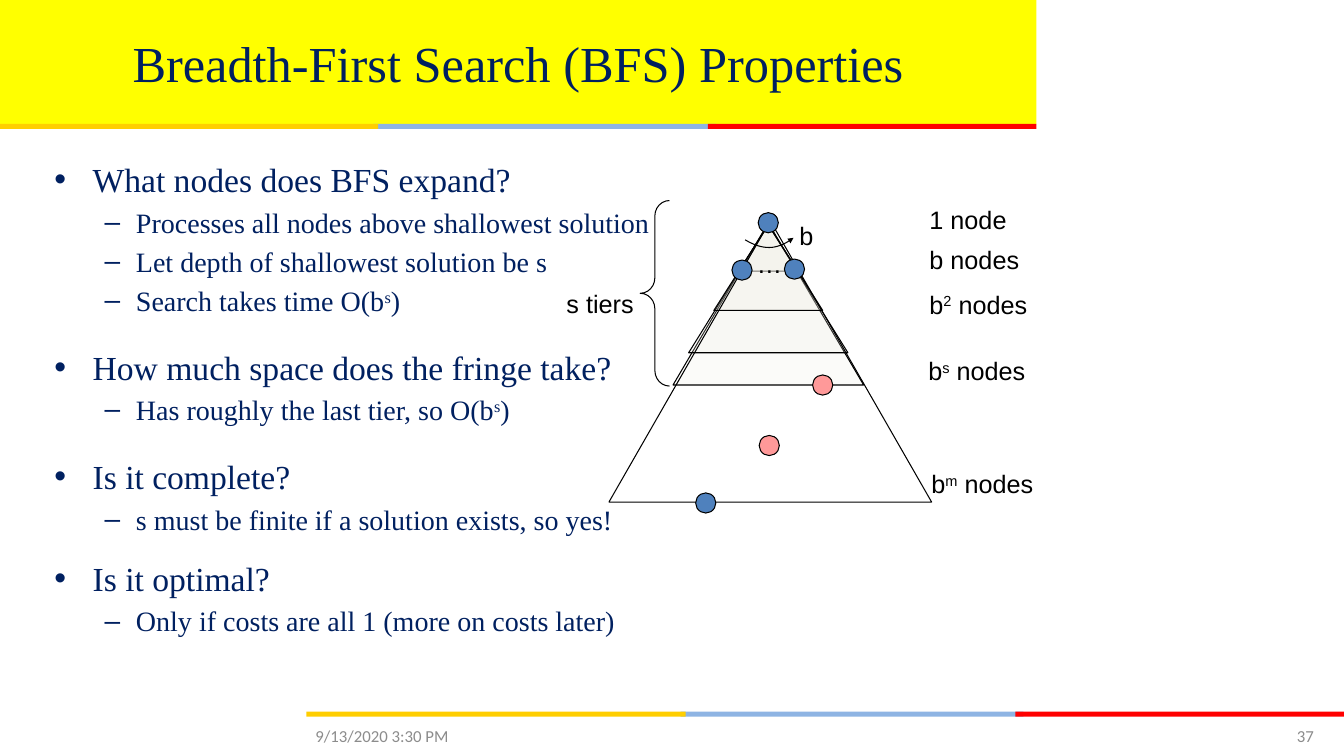
import pptx
import pptx.util
import pptx.dml.color
import pptx.enum.shapes
import pptx.enum.text
import pptx.oxml
import pptx.oxml.ns

Inches, Pt = pptx.util.Inches, pptx.util.Pt
RGBColor = pptx.dml.color.RGBColor
SHAPES = pptx.enum.shapes.MSO_SHAPE
ALIGN = pptx.enum.text.PP_ALIGN
MIDDLE = pptx.enum.text.MSO_ANCHOR.MIDDLE

YELLOW = RGBColor(0xFF, 0xFF, 0x00)
GOLD = RGBColor(0xFF, 0xCE, 0x00)
SKY = RGBColor(0x8E, 0xB4, 0xE3)
RED = RGBColor(0xFF, 0x00, 0x00)
NAVY = RGBColor(0x00, 0x20, 0x60)
BLACK = RGBColor(0x00, 0x00, 0x00)
GREY = RGBColor(0x8C, 0x8C, 0x8C)
CREAM = RGBColor(0xEE, 0xEC, 0xE1)
NODE_BLUE = RGBColor(0x4F, 0x81, 0xBD)
NODE_PINK = RGBColor(0xFF, 0x99, 0x99)

deck = pptx.Presentation()
deck.slide_width, deck.slide_height = Inches(13.33), Inches(7.5)
page = deck.slides.add_slide(deck.slide_layouts[6])


def style(shape, fill=None, outlined=True):
    shape.shadow.inherit = False
    if fill is None:
        shape.fill.background()
    else:
        shape.fill.solid()
        shape.fill.fore_color.rgb = fill
    if outlined:
        shape.line.color.rgb = BLACK
        shape.line.width = Pt(0.75)
    else:
        shape.line.fill.background()
    return shape


def write(para, text, size, font, color):
    """Fill a paragraph; the character after each ^ is raised."""
    base, *raised = text.split("^")
    pieces = [(base, False)]
    for part in raised:
        pieces += [(part[0], True), (part[1:], False)]
    for piece, is_raised in pieces:
        if not piece:
            continue
        span = para.add_run()
        span.text = piece
        span.font.size, span.font.name = Pt(size), font
        span.font.color.rgb = color
        if is_raised:
            span.font._element.set("baseline", "30000")


# Title band and the two three-colour stripes
band = style(page.shapes.add_shape(SHAPES.RECTANGLE, 0, 0, Inches(10.28), Inches(1.23)), YELLOW, False)
band.text_frame.vertical_anchor = MIDDLE
band.text_frame.paragraphs[0].alignment = ALIGN.CENTER
write(band.text_frame.paragraphs[0], "Breadth-First Search (BFS) Properties", 36, "Times New Roman", NAVY)

for left, top in [(-0.01, 1.23), (3.04, 7.06)]:
    for offset, width, color in [(3.71, 3.4, SKY), (7.03, 3.26, RED), (0, 3.76, GOLD)]:
        style(page.shapes.add_shape(SHAPES.RECTANGLE, Inches(left + offset), Inches(top),
                                    Inches(width), Inches(0.05)), color, False)

# Search tree: one triangle per tier, then the whole tree
TIERS = [(7.62, 2.23, 0.295, 2.69, CREAM), (7.62, 2.21, 0.945, 3.82, CREAM),
         (7.62, 2.23, 0.79, 3.5, CREAM), (7.62, 2.23, 0.54, 3.08, CREAM),
         (7.64, 2.19, 1.6, 4.98, None)]
for apex, top, half, bottom, color in TIERS:
    outline = page.shapes.build_freeform(Inches(apex), Inches(top))
    outline.add_line_segments([(Inches(apex - half), Inches(bottom)),
                               (Inches(apex + half), Inches(bottom))], close=True)
    tier = style(outline.convert_to_shape(), color)
    if color is not None:
        tint = tier._element.spPr.find(".//" + pptx.oxml.ns.qn("a:srgbClr"))
        tint.append(pptx.oxml.parse_xml(
            f'<a:alpha {pptx.oxml.ns.nsdecls("a")} val="20000"/>'))

# Curved branching arrow, sampled from a cubic curve
CURVE = [(7.39, 2.38), (7.56, 2.48), (7.7, 2.49), (7.87, 2.36)]
STEPS = 16
points = []
for step in range(STEPS + 1):
    t = step / STEPS
    weights = [(1 - t) ** 3, 3 * t * (1 - t) ** 2, 3 * t ** 2 * (1 - t), t ** 3]
    points.append(tuple(Inches(sum(w * p[axis] for w, p in zip(weights, CURVE))) for axis in (0, 1)))
outline = page.shapes.build_freeform(*points[0])
outline.add_line_segments(points[1:], close=False)
arrow = style(outline.convert_to_shape())
arrow.line._get_or_add_ln().append(pptx.oxml.parse_xml(
    f'<a:tailEnd {pptx.oxml.ns.nsdecls("a")} type="triangle" w="sm" len="sm"/>'))

NODES = [(7.52, 2.11, NODE_BLUE), (7.26, 2.58, NODE_BLUE), (7.78, 2.57, NODE_BLUE),
         (6.9, 4.89, NODE_BLUE), (8.06, 3.72, NODE_PINK), (7.53, 4.32, NODE_PINK)]
for left, top, color in NODES:
    style(page.shapes.add_shape(SHAPES.OVAL, Inches(left), Inches(top), Inches(0.2), Inches(0.2)), color)

brace = style(page.shapes.add_shape(SHAPES.LEFT_BRACE, Inches(6.35), Inches(1.99), Inches(0.29), Inches(1.84)))
brace.adjustments[0] = 0.529

# Questions and answers: level, space before in points, text
OUTLINE = [
    (0, 0, "What nodes does BFS expand?"),
    (1, 4, "Processes all nodes above shallowest solution"),
    (1, 4, "Let depth of shallowest solution be s"),
    (1, 4, "Search takes time O(b^s)"),
    (0, 21, "How much space does the fringe take?"),
    (1, 4, "Has roughly the last tier, so O(b^s)"),
    (0, 21.5, "Is it complete?"),
    (1, 4, "s must be finite if a solution exists, so yes!"),
    (0, 16, "Is it optimal?"),
    (1, 4, "Only if costs are all 1 (more on costs later)"),
]
LEVELS = [("•", 0.38, 0.38, 24), ("–", 0.81, 0.31, 20)]
body = page.shapes.add_textbox(Inches(0.44), Inches(1.53), Inches(6.22), Inches(5.17)).text_frame
body.word_wrap = True
for index, (level, space, text) in enumerate(OUTLINE):
    bullet, margin, hang, size = LEVELS[level]
    para = body.add_paragraph() if index else body.paragraphs[0]
    para.level = level
    props = para._p.get_or_add_pPr()
    props.set("marL", str(Inches(margin)))
    props.set("indent", str(-Inches(hang)))
    for tag in ('buFont typeface="Arial"', f'buChar char="{bullet}"'):
        props.append(pptx.oxml.parse_xml(f'<a:{tag} {pptx.oxml.ns.nsdecls("a")}/>'))
    para.space_before = Pt(space)
    write(para, text, size, "Times New Roman", NAVY)

# Tree labels
LABELS = [(7.41, 2.41, 0.3, "…"), (7.83, 2.14, 0.33, "b"), (5.52, 2.81, 1.38, "s tiers"),
          (9.12, 1.98, 1.22, "1 node"), (9.12, 2.37, 1.22, "b nodes"), (9.12, 2.82, 1.22, "b^2 nodes"),
          (9.11, 3.48, 1.6, "b^s nodes"), (9.14, 4.6, 1.6, "b^m nodes")]
for left, top, width, text in LABELS:
    label = page.shapes.add_textbox(Inches(left), Inches(top), Inches(width), Inches(0.4)).text_frame
    label.word_wrap = True
    write(label.paragraphs[0], text, 18, "Arial", BLACK)

# Footer
for left, width, text, align in [(3.03, 3.11, "9/13/2020 3:30 PM", ALIGN.LEFT), (11.67, 1.46, "37", ALIGN.RIGHT)]:
    footer = page.shapes.add_textbox(Inches(left), Inches(7.1), Inches(width), Inches(0.4)).text_frame
    footer.word_wrap = True
    footer.vertical_anchor = MIDDLE
    footer.paragraphs[0].alignment = align
    write(footer.paragraphs[0], text, 12, "Calibri", GREY)

deck.save("out.pptx")
